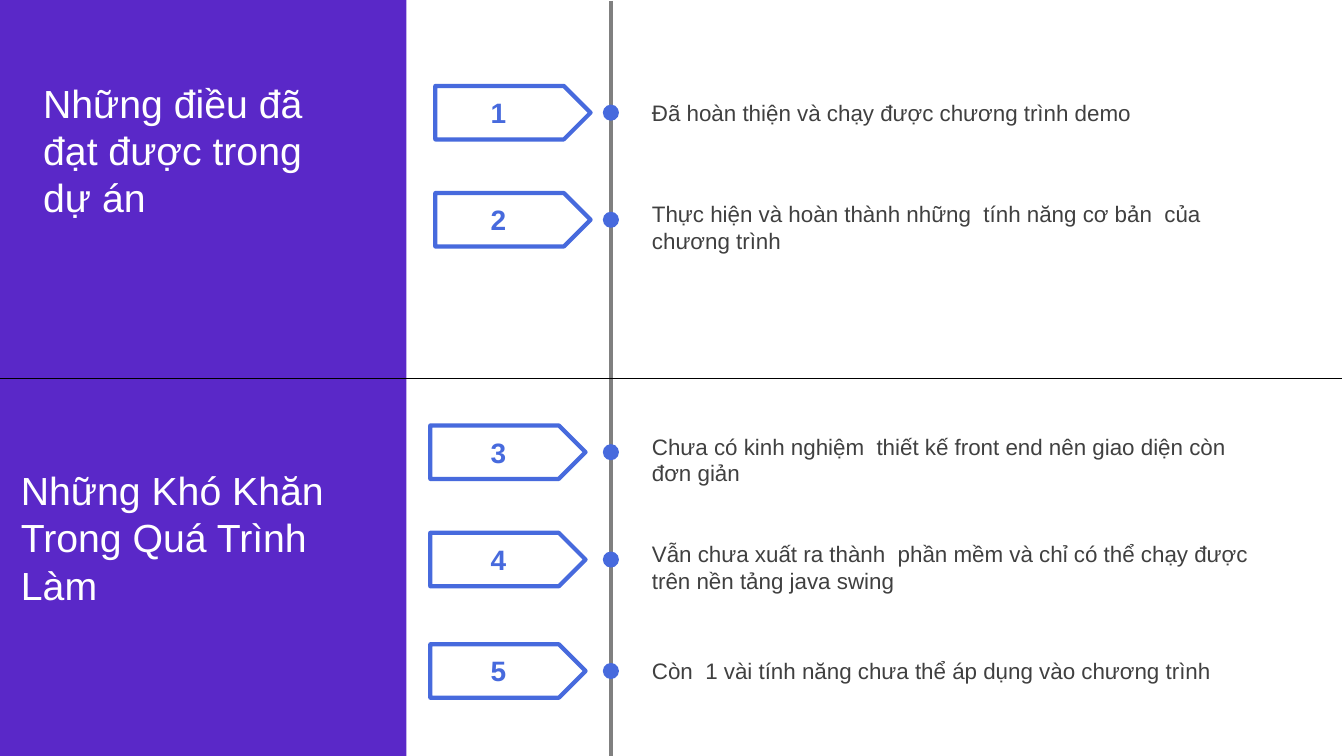
"""Build a slide of project achievements and difficulties along a vertical timeline."""
import pptx
import pptx.dml.color
import pptx.enum.shapes
import pptx.enum.text
import pptx.util
from lxml import etree
from pptx.oxml.ns import qn

Pt = pptx.util.Pt
RGBColor = pptx.dml.color.RGBColor
MSO_SHAPE = pptx.enum.shapes.MSO_SHAPE
PP_ALIGN = pptx.enum.text.PP_ALIGN

PURPLE = RGBColor(0x5A, 0x28, 0xC8)
BLUE = RGBColor(0x47, 0x6A, 0xDD)
GRAY = RGBColor(0x80, 0x80, 0x80)
DARK = RGBColor(0x40, 0x40, 0x40)
WHITE = RGBColor(0xFF, 0xFF, 0xFF)
BLACK = RGBColor(0x00, 0x00, 0x00)

FONT = "Arial"
SLIDE_WIDTH, SLIDE_HEIGHT = 960, 540
AXIS_X = 436.4
DOT_SIZE = 11.5
TAG_WIDTH, TAG_HEIGHT = 110.9, 38.2
NUMBER_LEFT, NUMBER_WIDTH, NUMBER_HEIGHT = 322.6, 67, 31.5
ITEM_LEFT, ITEM_WIDTH = 458.6, 455
ONE_LINE = {"rise": 13.5, "height": 26.6}
TWO_LINES = {"rise": 17.5, "height": 46}

SECTIONS = [
    {
        "title": "Những điều đã đạt được trong dự án",
        "title_box": (23.8, 53.3, 225.4, 108.7),
        "tag_left": 311,
        "items": [
            (80.5, "Đã hoàn thiện và chạy được chương trình demo", ONE_LINE),
            (157, "Thực hiện và hoàn thành những  tính năng cơ bản  của chương trình", TWO_LINES),
        ],
    },
    {
        "title": "Những Khó Khăn Trong Quá Trình Làm",
        "title_box": (7.9, 329.8, 257, 108.7),
        "tag_left": 307.4,
        "items": [
            (323, "Chưa có kinh nghiệm  thiết kế front end nên giao diện còn đơn giản", TWO_LINES),
            (399.7, "Vẫn chưa xuất ra thành  phần mềm và chỉ có thể chạy được trên nền tảng java swing",
             TWO_LINES),
            (479.3, "Còn  1 vài tính năng chưa thể áp dụng vào chương trình", ONE_LINE),
        ],
    },
]


def add_block(slide, kind, box, fill, outline=None):
    """Add a filled preset shape, outlined when a colour is given."""
    block = slide.shapes.add_shape(kind, *map(Pt, box))
    block.shadow.inherit = False
    block.fill.solid()
    block.fill.fore_color.rgb = fill
    if outline is None:
        block.line.fill.background()
    else:
        block.line.color.rgb = outline
        block.line.width = Pt(3)


def add_rule(slide, start, end, color, width):
    """Add a straight line between two points."""
    rule = slide.shapes.add_connector(
        pptx.enum.shapes.MSO_CONNECTOR.STRAIGHT, *map(Pt, start + end))
    rule.line.color.rgb = color
    rule.line.width = Pt(width)
    etree.SubElement(rule._element.spPr, qn("a:effectLst"))


def add_label(slide, box, text, size, color, bold=False, align=PP_ALIGN.LEFT):
    """Add a wrapping text box with one formatted paragraph."""
    label = slide.shapes.add_textbox(*map(Pt, box))
    frame = label.text_frame
    frame.word_wrap = True
    frame.auto_size = pptx.enum.text.MSO_AUTO_SIZE.SHAPE_TO_FIT_TEXT
    frame.text = text
    paragraph = frame.paragraphs[0]
    paragraph.alignment = align
    font = paragraph.runs[0].font
    font.name = FONT
    font.size = Pt(size)
    font.bold = bold
    font.color.rgb = color


def add_item(slide, number, tag_left, center, text, layout):
    """Add one timeline entry around its vertical centre."""
    add_block(slide, MSO_SHAPE.OVAL,
              (AXIS_X - DOT_SIZE / 2, center - DOT_SIZE / 2, DOT_SIZE, DOT_SIZE), BLUE)
    add_block(slide, MSO_SHAPE.PENTAGON,
              (tag_left, center - TAG_HEIGHT / 2, TAG_WIDTH, TAG_HEIGHT), WHITE, BLUE)
    add_label(slide, (NUMBER_LEFT, center - NUMBER_HEIGHT / 2, NUMBER_WIDTH, NUMBER_HEIGHT),
              str(number), 20, BLUE, bold=True, align=PP_ALIGN.CENTER)
    add_label(slide, (ITEM_LEFT, center - layout["rise"], ITEM_WIDTH, layout["height"]),
              text, 16, DARK)


def add_section(slide, section, first_number):
    """Add a section title and its numbered entries."""
    add_label(slide, section["title_box"], section["title"], 28, WHITE)
    for number, item in enumerate(section["items"], first_number):
        add_item(slide, number, section["tag_left"], *item)


def main():
    """Assemble the slide and save it."""
    presentation = pptx.Presentation()
    presentation.slide_width = Pt(SLIDE_WIDTH)
    presentation.slide_height = Pt(SLIDE_HEIGHT)
    slide = presentation.slides.add_slide(presentation.slide_layouts[6])

    add_block(slide, MSO_SHAPE.RECTANGLE, (-2, 0, 292.3, SLIDE_HEIGHT), PURPLE)
    add_rule(slide, (AXIS_X, 0.7), (AXIS_X, SLIDE_HEIGHT), GRAY, 3)
    first_number = 1
    for section in SECTIONS:
        add_section(slide, section, first_number)
        first_number += len(section["items"])
    add_rule(slide, (-2, SLIDE_HEIGHT / 2), (958.3, SLIDE_HEIGHT / 2), BLACK, 0.5)

    presentation.save("out.pptx")


if __name__ == "__main__":
    main()
